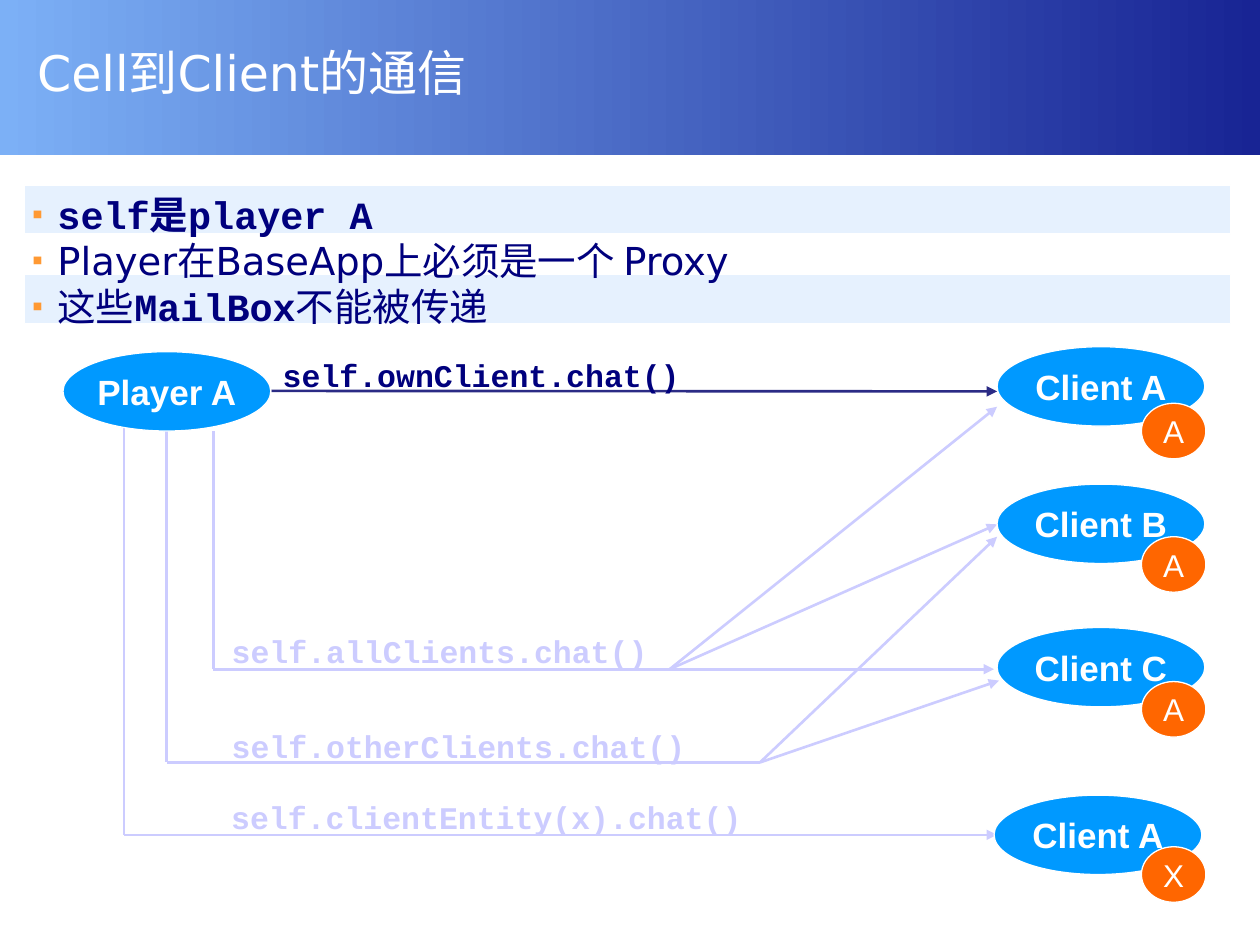
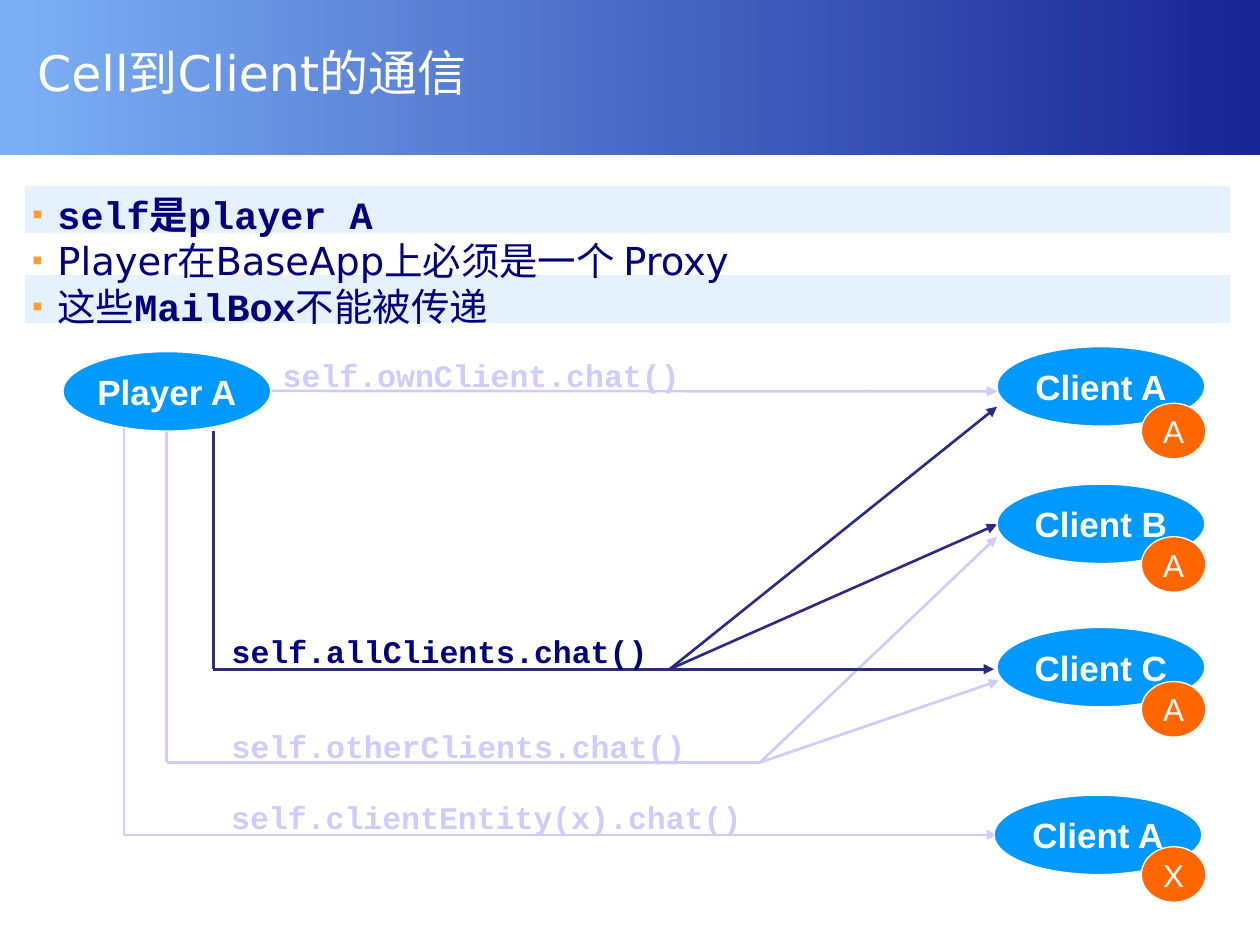
from dataclasses import dataclass

from lxml.etree import SubElement
from pptx import Presentation
from pptx.dml.color import RGBColor
from pptx.enum.shapes import MSO_CONNECTOR, MSO_SHAPE
from pptx.enum.text import MSO_ANCHOR, PP_ALIGN
from pptx.oxml.ns import qn
from pptx.util import Cm, Pt

WHITE = RGBColor(0xFF, 0xFF, 0xFF)
BAND_LIGHT = RGBColor(0x7C, 0xB0, 0xF6)
BAND_DARK = RGBColor(0x18, 0x24, 0x94)
STRIPE = RGBColor(0xE6, 0xF1, 0xFE)
NAVY = RGBColor(0x00, 0x00, 0x7D)
ACTIVE_LINE = RGBColor(0x2B, 0x2B, 0x85)
FADED = RGBColor(0xCC, 0xCC, 0xFF)
NODE_BLUE = RGBColor(0x00, 0x99, 0xFF)
BADGE_ORANGE = RGBColor(0xFF, 0x66, 0x00)
BULLET_ORANGE = RGBColor(0xFF, 0x99, 0x33)

TITLE_FONT = {"name": "DejaVu Sans", "size": Pt(28)}
BODY_FONT = {"name": "DejaVu Sans", "size": Pt(22), "bold": False}
CODE_FONT = {"name": "Courier New", "size": Pt(22), "bold": True}
CALL_FONT = {"name": "Courier New", "size": Pt(18), "bold": True}
NODE_FONT = {"name": "Arial", "size": Pt(20), "bold": True}
BADGE_FONT = {"name": "Arial", "size": Pt(18), "bold": False}

LEFT, WIDTH = 0.5, 24.31
CALL_CHAR_WIDTH = 0.39
NODE_SIZE = (4.19, 1.6)
BADGE_SIZE = (1.3, 1.12)
BADGE_LEFT = 23.01

TITLE = "Cell到Client的通信"
FACTS = [
    [("self是player A", CODE_FONT)],
    [("Player在BaseApp上必须是一个 Proxy", BODY_FONT)],
    [("这些", BODY_FONT), ("MailBox", CODE_FONT), ("不能被传递", BODY_FONT)],
]
PLAYER = ("Player A", 1.27, 7.09)
CLIENTS = [
    ("Client A", 20.1, 6.99, "A", 8.13),
    ("Client B", 20.1, 9.76, "A", 10.82),
    ("Client C", 20.1, 12.65, "A", 13.74),
    ("Client A", 20.04, 16.03, "X", 17.07),
]


@dataclass
class Route:
    call: str
    call_at: tuple
    trunk: list
    targets: list


ROUTES = [
    Route("self.otherClients.chat()", (4.67, 14.66),
          [(3.36, 8.69), (3.36, 15.37), (15.32, 15.37)],
          [(20.1, 10.82), (20.14, 13.72)]),
    Route("self.allClients.chat()", (4.67, 12.75),
          [(4.3, 8.69), (4.3, 13.49), (13.5, 13.49)],
          [(20.1, 8.2), (20.1, 10.57), (20.04, 13.49)]),
    Route("self.clientEntity(x).chat()", (4.66, 16.08),
          [(2.5, 8.53), (2.5, 16.83)],
          [(20.1, 16.83)]),
    Route("self.ownClient.chat()", (5.7, 7.18),
          [(5.47, 7.88)],
          [(20.1, 7.89)]),
]
ACTIVE_CALLS = ["self.ownClient.chat()", "self.allClients.chat()"]


def apply(target, formats):
    for name, value in formats.items():
        setattr(target, name, value)


def set_margins(frame, *lengths):
    sides = ("margin_left", "margin_top", "margin_right", "margin_bottom")
    apply(frame, {side: Cm(length) for side, length in zip(sides, lengths)})


def add_run(paragraph, text, font, color):
    run = paragraph.add_run()
    run.text = text
    apply(run.font, font)
    run.font.color.rgb = color


def add_text_frame(slide, left, top, width, height, margins, anchor=MSO_ANCHOR.TOP):
    box = slide.shapes.add_textbox(Cm(left), Cm(top), Cm(width), Cm(height))
    apply(box.text_frame, {"word_wrap": True, "vertical_anchor": anchor})
    set_margins(box.text_frame, *margins)
    return box.text_frame


def add_filled(slide, kind, left, top, width, height, color):
    shape = slide.shapes.add_shape(kind, Cm(left), Cm(top), Cm(width), Cm(height))
    shape.shadow.inherit = False
    shape.fill.solid()
    shape.fill.fore_color.rgb = color
    shape.line.color.rgb = WHITE
    shape.line.width = Pt(0.75)
    return shape


def add_title_band(slide):
    band = add_filled(slide, MSO_SHAPE.RECTANGLE, 0, 0, 25.4, 3.12, BAND_LIGHT)
    band.line.fill.background()
    band.fill.gradient()
    band.fill.gradient_angle = 0
    for stop, color, position in zip(band.fill.gradient_stops, (BAND_LIGHT, BAND_DARK), (0, 1)):
        stop.color.rgb = color
        stop.position = position
    frame = add_text_frame(slide, LEFT, 0, WIDTH, 2.92, (0.25, 0.1, 0.25, 0.13), MSO_ANCHOR.MIDDLE)
    frame.paragraphs[0].line_spacing = 1.01
    add_run(frame.paragraphs[0], TITLE, TITLE_FONT, WHITE)


def add_bullet(paragraph):
    properties = paragraph._p.get_or_add_pPr()
    properties.set("marL", str(Cm(0.51)))
    properties.set("indent", str(-Cm(0.51)))
    color = SubElement(properties, qn("a:buClr"))
    SubElement(color, qn("a:srgbClr"), val=str(BULLET_ORANGE))
    SubElement(properties, qn("a:buSzPct"), val="80000")
    SubElement(properties, qn("a:buFont"), typeface="Arial")
    SubElement(properties, qn("a:buChar"), char="▪")


def add_facts(slide):
    frame = add_text_frame(slide, LEFT, 3.82, WIDTH, 2.69, (0.15, 0.03, 0, 0))
    for index, fact in enumerate(FACTS):
        paragraph = frame.add_paragraph() if index else frame.paragraphs[0]
        add_bullet(paragraph)
        for text, font in fact:
            add_run(paragraph, text, font, NAVY)


def add_oval(slide, text, left, top, size, color, font):
    oval = add_filled(slide, MSO_SHAPE.OVAL, left, top, *size, color)
    frame = oval.text_frame
    apply(frame, {"word_wrap": False, "vertical_anchor": MSO_ANCHOR.MIDDLE})
    set_margins(frame, 0.25, 0.13, 0.25, 0.13)
    frame.paragraphs[0].alignment = PP_ALIGN.CENTER
    add_run(frame.paragraphs[0], text, font, WHITE)


def add_line(slide, start, end, color, arrow=False):
    points = [Cm(length) for length in (*start, *end)]
    line = slide.shapes.add_connector(MSO_CONNECTOR.STRAIGHT, *points)
    line.line.color.rgb = color
    line.line.width = Pt(1.5)
    if arrow:
        SubElement(line.line._get_or_add_ln(), qn("a:tailEnd"), type="triangle")
    SubElement(line._element.spPr, qn("a:effectLst"))


def add_route(slide, route, active):
    line_color = ACTIVE_LINE if active else FADED
    for start, end in zip(route.trunk, route.trunk[1:]):
        add_line(slide, start, end, line_color)
    for target in route.targets:
        add_line(slide, route.trunk[-1], target, line_color, arrow=True)
    call_width = len(route.call) * CALL_CHAR_WIDTH
    frame = add_text_frame(slide, *route.call_at, call_width, 0.76, (0, 0, 0, 0))
    add_run(frame.paragraphs[0], route.call, CALL_FONT, NAVY if active else FADED)


def add_nodes(slide):
    add_oval(slide, *PLAYER, NODE_SIZE, NODE_BLUE, NODE_FONT)
    for client, left, top, entity, badge_top in CLIENTS:
        add_oval(slide, client, left, top, NODE_SIZE, NODE_BLUE, NODE_FONT)
        add_oval(slide, entity, BADGE_LEFT, badge_top, BADGE_SIZE, BADGE_ORANGE, BADGE_FONT)


def add_routing_slide(deck, active_call):
    slide = deck.slides.add_slide(deck.slide_layouts[6])
    add_title_band(slide)
    for stripe_top in (3.73, 5.54):
        add_filled(slide, MSO_SHAPE.RECTANGLE, LEFT, stripe_top, WIDTH, 0.99, STRIPE)
    for route in ROUTES:
        add_route(slide, route, route.call == active_call)
    add_nodes(slide)
    add_facts(slide)


def main():
    deck = Presentation()
    apply(deck, {"slide_width": Cm(25.4), "slide_height": Cm(19.05)})
    for active_call in ACTIVE_CALLS:
        add_routing_slide(deck, active_call)
    deck.save("out.pptx")


if __name__ == "__main__":
    main()
